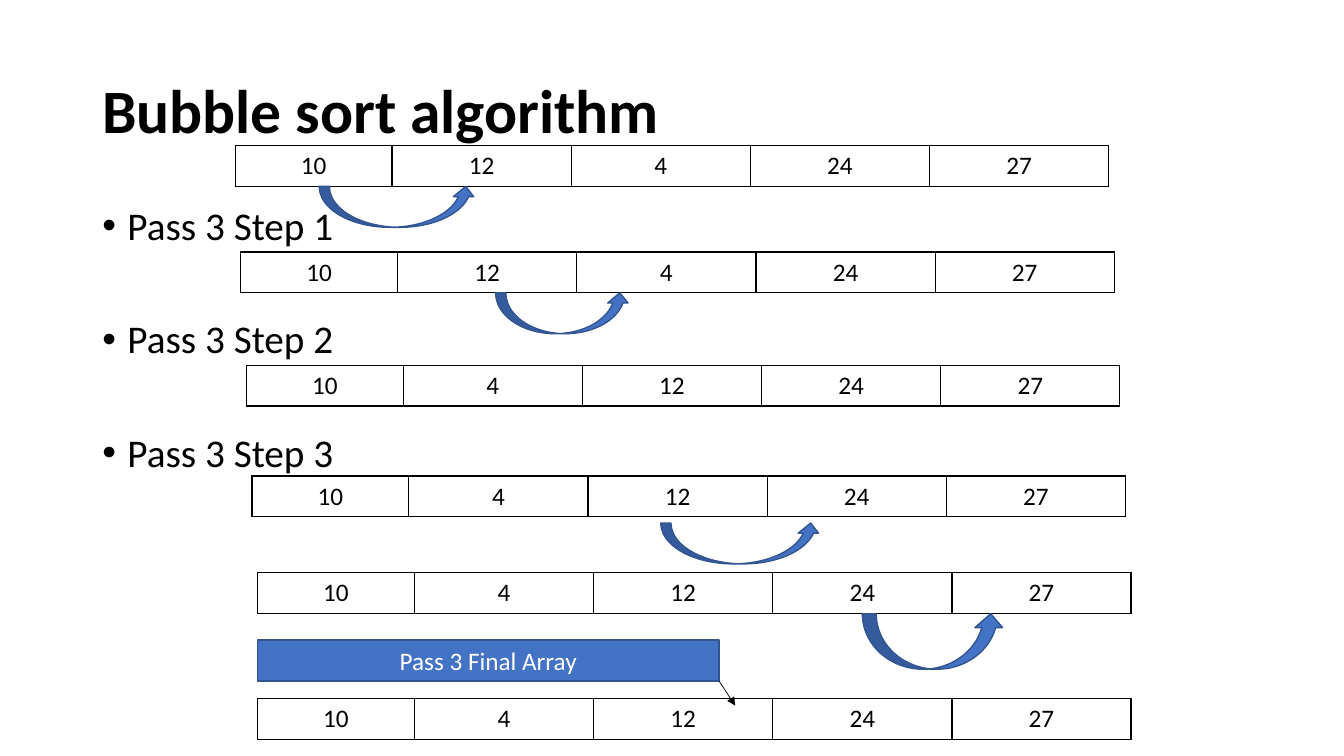
from dataclasses import dataclass

import pptx
import pptx.dml.color
import pptx.enum.shapes
import pptx.enum.text
import pptx.oxml
import pptx.oxml.ns
import pptx.util
from lxml import etree

BLACK = pptx.dml.color.RGBColor(0x00, 0x00, 0x00)
WHITE = pptx.dml.color.RGBColor(0xFF, 0xFF, 0xFF)
BLUE = pptx.dml.color.RGBColor(0x44, 0x72, 0xC4)
DARK_BLUE = pptx.dml.color.RGBColor(0x32, 0x54, 0x91)

# The slide is a grid of 240 columns by 135 rows of square units.
UNIT = pptx.util.Inches(1) / 18
COLUMNS, ROWS = 240, 135
FIRST_CELL, OTHER_CELL, CELL_HEIGHT = 28, 32, 7.3
MARGIN, TEXT_WIDTH = 16.5, 207

SHAPE = pptx.enum.shapes.MSO_SHAPE
ALIGN = pptx.enum.text.PP_ALIGN
MIDDLE = pptx.enum.text.MSO_ANCHOR.MIDDLE
qn = pptx.oxml.ns.qn


@dataclass(frozen=True)
class Box:
    left: float
    top: float
    width: float
    height: float = CELL_HEIGHT

    def emu(self) -> list[int]:
        return [units(v) for v in (self.left, self.top, self.width, self.height)]


@dataclass(frozen=True)
class ArrayState:
    left: float
    top: float
    values: tuple[int, ...]
    swap_arrow: Box | None = None


BEFORE_SWAP = (10, 12, 4, 24, 27)
AFTER_SWAP = (10, 4, 12, 24, 27)
STATES = (
    ArrayState(42, 26, BEFORE_SWAP, Box(57, 33.3, 28)),
    ArrayState(43, 45, BEFORE_SWAP, Box(88.5, 52.3, 24)),
    ArrayState(44, 65.2, AFTER_SWAP),
    ArrayState(45, 85, AFTER_SWAP, Box(118, 93.4, 28.6)),
    ArrayState(46, 102.2, AFTER_SWAP, Box(154, 109.6, 25.4, 9.9)),
    ArrayState(46, 124.7, AFTER_SWAP),
)
STEPS = ("Pass 3 Step 1", "Pass 3 Step 2", "Pass 3 Step 3")
FINAL_LABEL = Box(46, 114.3, 82.4)


def units(value: float) -> int:
    return round(value * UNIT)


def write(p, text: str, size: float, color=BLACK, **paragraph_format) -> None:
    for name, value in paragraph_format.items():
        setattr(p, name, value)
    r = p.add_run()
    r.text = text
    r.font.color.rgb = color
    for name, value in {"name": "Calibri", "size": pptx.util.Pt(size)}.items():
        setattr(r.font, name, value)


def add_text_frame(s, box: Box):
    tf = s.shapes.add_textbox(*box.emu()).text_frame
    tf.word_wrap = True
    return tf


def add_title(s) -> None:
    tf = add_text_frame(s, Box(MARGIN, 7.2, TEXT_WIDTH, 26.1))
    tf.vertical_anchor = MIDDLE
    write(tf.paragraphs[0], "Bubble sort algorithm", 44, line_spacing=0.9)
    tf.paragraphs[0].runs[0].font.bold = True


def add_steps(s) -> None:
    tf = add_text_frame(s, Box(MARGIN, 36, TEXT_WIDTH, 85.7))
    for i, step in enumerate(STEPS):
        p = tf.add_paragraph() if i else tf.paragraphs[0]
        pPr = p._p.get_or_add_pPr()
        pPr.set("marL", str(units(4.5)))
        pPr.set("indent", str(-units(4.5)))
        etree.SubElement(pPr, qn("a:buFont"), typeface="Arial")
        etree.SubElement(pPr, qn("a:buChar"), char="•")
        write(p, step, 28, line_spacing=0.9)
        if i:
            p.space_before = pptx.util.Pt(50.8)


def add_borders(cell) -> None:
    """Give a cell thin black lines on its four sides."""
    tcPr = cell._tc.get_or_add_tcPr()
    for i, side in enumerate("LRTB"):
        ln = etree.Element(qn(f"a:ln{side}"), w=str(pptx.util.Pt(1)))
        fill = etree.SubElement(ln, qn("a:solidFill"))
        etree.SubElement(fill, qn("a:srgbClr"), val=str(BLACK))
        tcPr.insert(i, ln)


def add_array(s, state: ArrayState) -> None:
    count = len(state.values)
    width = FIRST_CELL + OTHER_CELL * (count - 1)
    box = Box(state.left, state.top, width)
    table = s.shapes.add_table(1, count, *box.emu()).table
    for name in ("first_row", "horz_banding"):
        setattr(table, name, False)
    for i, value in enumerate(state.values):
        table.columns[i].width = units(OTHER_CELL if i else FIRST_CELL)
        cell = table.cell(0, i)
        cell.fill.background()
        add_borders(cell)
        write(cell.text_frame.paragraphs[0], str(value), 18, alignment=ALIGN.CENTER)


def add_blue_shape(s, kind: SHAPE, box: Box):
    sp = s.shapes.add_shape(kind, *box.emu())
    sp.shadow.inherit = False
    sp.fill.solid()
    sp.fill.fore_color.rgb = BLUE
    sp.line.color.rgb = DARK_BLUE
    sp.line.width = pptx.util.Pt(1)
    return sp


def add_final_label(s) -> None:
    tf = add_blue_shape(s, SHAPE.RECTANGLE, FINAL_LABEL).text_frame
    tf.vertical_anchor = MIDDLE
    write(tf.paragraphs[0], "Pass 3 Final Array", 18, WHITE, alignment=ALIGN.CENTER)


def add_final_pointer(s) -> None:
    """Draw the arrow from the label's lower right corner to the last array."""
    x = FINAL_LABEL.left + FINAL_LABEL.width
    y = FINAL_LABEL.top + FINAL_LABEL.height
    ends = [units(v) for v in (x, y, x + 2.9, y + 4.4)]
    line = s.shapes.add_connector(pptx.enum.shapes.MSO_CONNECTOR.STRAIGHT, *ends)
    line.line.color.rgb = BLACK
    line.line.width = pptx.util.Pt(0.5)
    etree.SubElement(line.line._get_or_add_ln(), qn("a:tailEnd"), type="triangle")
    etree.SubElement(line._element.spPr, qn("a:effectLst"))


def main() -> None:
    prs = pptx.Presentation()
    prs.slide_width, prs.slide_height = units(COLUMNS), units(ROWS)
    s = prs.slides.add_slide(prs.slide_layouts[6])
    add_title(s)
    add_steps(s)
    for state in STATES:
        add_array(s, state)
        if state.swap_arrow:
            add_blue_shape(s, SHAPE.CURVED_UP_ARROW, state.swap_arrow)
    add_final_label(s)
    add_final_pointer(s)
    prs.save("out.pptx")


if __name__ == "__main__":
    main()
